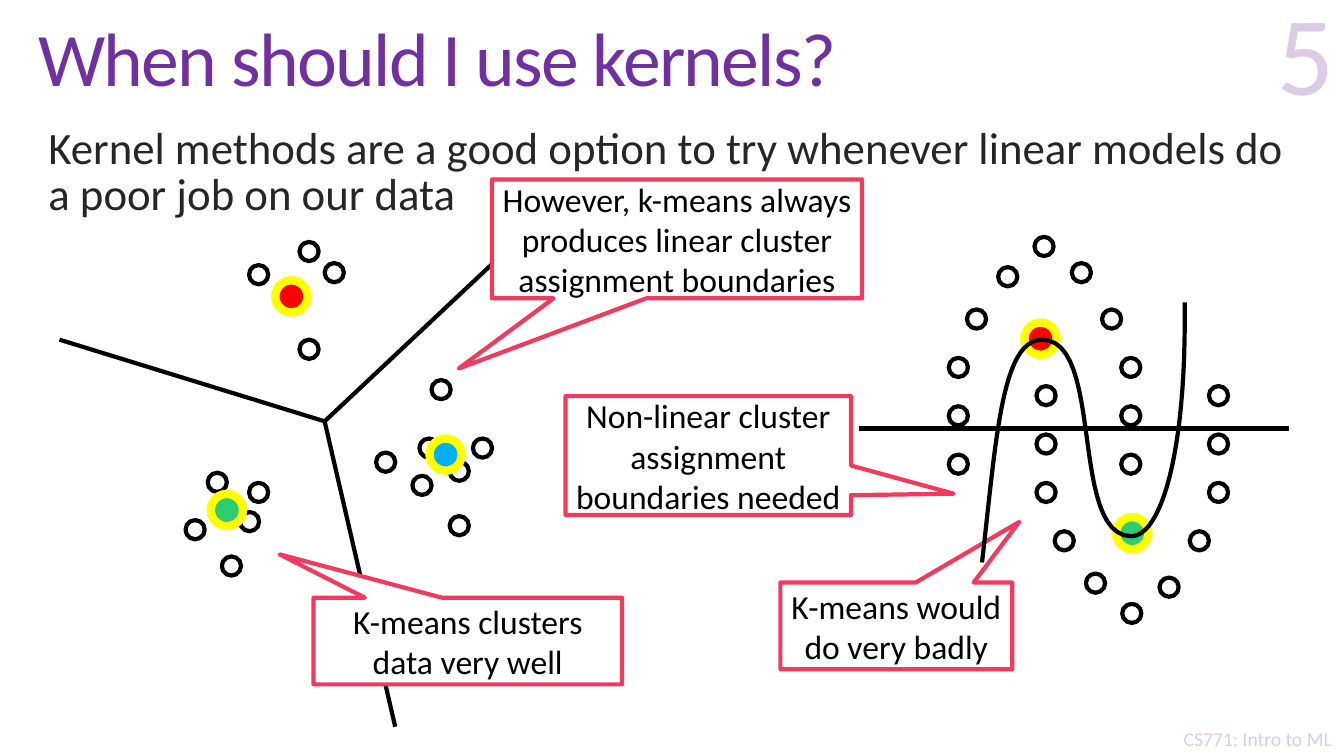
from dataclasses import dataclass

from lxml.etree import SubElement
from pptx import Presentation
from pptx.dml.color import RGBColor
from pptx.enum.shapes import MSO_CONNECTOR, MSO_SHAPE
from pptx.enum.text import MSO_ANCHOR, MSO_AUTO_SIZE, PP_ALIGN
from pptx.oxml.ns import qn
from pptx.util import Inches, Pt


@dataclass(frozen=True)
class Theme:
    font: str = "Calibri"
    purple: str = "7030A0"
    pale_purple: str = "DBCBE7"
    body: str = "262626"
    black: str = "000000"
    white: str = "FFFFFF"
    callout: str = "F03B5E"
    halo: str = "FFFF00"
    red: str = "FF0000"
    blue: str = "00B0F0"
    green: str = "2ECC71"
    title_size: int = 54
    body_size: int = 32
    callout_size: int = 24
    number_size: int = 80
    footer_size: int = 14
    stroke: int = 3
    halo_stroke: int = 6


THEME = Theme()
DOT_SIZE = 0.19
CENTROID_SIZE = 0.32

LEFT_CLUSTERS = [
    (2.79, 2.81), (3.22, 2.61), (2.97, 2.4), (2.97, 3.37), (2.47, 2.63),
    (2.06, 4.69), (2.38, 5.08), (2.47, 4.79), (1.84, 5.16), (2.2, 5.52),
    (4.28, 3.77), (4.69, 4.35), (4.16, 4.35), (4.46, 4.58), (4.09, 4.72),
    (3.73, 4.49), (4.46, 5.12),
]
LEFT_CENTROIDS = [(2.73, 2.78, THEME.red), (4.26, 4.35, THEME.blue), (2.09, 4.9, THEME.green)]
RIGHT_CENTROIDS = [(10.16, 3.2, THEME.red), (11.07, 5.13, THEME.green)]
LEFT_BOUNDARIES = [(0.59, 3.37, 3.22, 4.18), (3.22, 4.18, 5.54, 2), (3.92, 7.21, 3.22, 4.18)]

ARCH_TOP = [(10.26, 2.35), (9.9, 2.65), (10.63, 2.61), (9.59, 3.07), (10.93, 3.07)]
ARCH_LEGS = [(x, 3.55 + 0.48 * row) for x in (9.41, 11.12) for row in range(3)]
ARCH = ARCH_TOP + ARCH_LEGS
# The lower arch is the upper one turned upside down and moved right.
LOWER_ARCH = [(x + 0.87, 8.34 - y) for x, y in ARCH]

CALLOUTS = [
    (3.11, 5.93, 3.06, 0.86, (-0.61, -1.0), "K-means clusters data very well"),
    (4.88, 1.78, 3.67, 1.18, (-0.59, 1.09),
     "However, k-means always produces linear cluster assignment boundaries"),
    (5.61, 3.93, 2.83, 1.18, (0.86, 0.32), "Non-linear cluster assignment boundaries needed"),
    (7.74, 5.78, 2.3, 0.86, (0.53, -1.2), "K-means would do very badly"),
]

CURVE_START = (9.74, 5.58)
CURVE_SEGMENTS = [
    ((9.88, 4.38), (9.93, 3.38), (10.33, 3.37)),
    ((10.96, 3.36), (10.6, 5.31), (11.22, 5.32)),
    ((11.51, 5.32), (11.77, 4.51), (11.75, 3)),
]


def rgb(color):
    return RGBColor.from_string(color)


def write(frame, text, size, color, align=PP_ALIGN.LEFT, anchor=MSO_ANCHOR.TOP):
    """Put one formatted run in the frame and return its paragraph and run."""
    frame.word_wrap = True
    frame.auto_size = MSO_AUTO_SIZE.NONE
    frame.vertical_anchor = anchor
    paragraph = frame.paragraphs[0]
    paragraph.alignment = align
    run = paragraph.add_run()
    run.text = text
    run.font.name = THEME.font
    run.font.size = Pt(size)
    run.font.color.rgb = rgb(color)
    return paragraph, run


def place(placeholder, left, top, width, height):
    placeholder.left, placeholder.top = Inches(left), Inches(top)
    placeholder.width, placeholder.height = Inches(width), Inches(height)


def add_title(slide, text):
    title = slide.shapes.title
    place(title, 0.28, 0.04, 12.69, 1.18)
    paragraph, run = write(title.text_frame, text, THEME.title_size, THEME.purple,
                           anchor=MSO_ANCHOR.MIDDLE)
    paragraph.line_spacing = 0.85
    run._r.get_or_add_rPr().set("spc", "-120")


def add_body(slide, text):
    body = slide.placeholders[1]
    place(body, 0.28, 1.22, 12.69, 5.8)
    paragraph, _ = write(body.text_frame, text, THEME.body_size, THEME.body)
    properties = paragraph._p.get_or_add_pPr()
    properties.set("marL", str(Inches(0.1)))
    properties.set("indent", "0")
    SubElement(properties, qn("a:buNone"))
    paragraph.line_spacing = 0.85
    paragraph.space_before = Pt(0)


def add_label(slide, box, text, size, anchor=MSO_ANCHOR.TOP):
    label = slide.shapes.add_textbox(*map(Inches, box))
    write(label.text_frame, text, size, THEME.pale_purple, PP_ALIGN.RIGHT, anchor)


def add_outlined(slide, preset, box, fill, line, weight):
    shape = slide.shapes.add_shape(preset, *map(Inches, box))
    shape.shadow.inherit = False
    shape.fill.solid()
    shape.fill.fore_color.rgb = rgb(fill)
    shape.line.color.rgb = rgb(line)
    shape.line.width = Pt(weight)
    return shape


def add_dots(slide, points):
    for x, y in points:
        add_outlined(slide, MSO_SHAPE.OVAL, (x, y, DOT_SIZE, DOT_SIZE),
                     THEME.white, THEME.black, THEME.stroke)


def add_centroids(slide, centroids):
    for x, y, color in centroids:
        add_outlined(slide, MSO_SHAPE.OVAL, (x, y, CENTROID_SIZE, CENTROID_SIZE),
                     color, THEME.halo, THEME.halo_stroke)


def add_callout(slide, left, top, width, height, tip, text):
    callout = add_outlined(slide, MSO_SHAPE.RECTANGULAR_CALLOUT, (left, top, width, height),
                           THEME.white, THEME.callout, THEME.stroke)
    callout.adjustments[0], callout.adjustments[1] = tip
    write(callout.text_frame, text, THEME.callout_size, THEME.black,
          PP_ALIGN.CENTER, MSO_ANCHOR.MIDDLE)


def add_boundary(slide, *ends):
    boundary = slide.shapes.add_connector(MSO_CONNECTOR.STRAIGHT, *map(Inches, ends))
    boundary.line.color.rgb = rgb(THEME.black)
    boundary.line.width = Pt(THEME.stroke)
    SubElement(boundary._element.spPr, qn("a:effectLst"))


def bezier_points(start, segments, steps=24):
    """Sample a chain of cubic Bezier segments, leaving out the start."""
    for first, second, end in segments:
        for step in range(1, steps + 1):
            t = step / steps
            weights = ((1 - t) ** 3, 3 * t * (1 - t) ** 2, 3 * t ** 2 * (1 - t), t ** 3)
            controls = (start, first, second, end)
            yield tuple(Inches(sum(w * c[axis] for w, c in zip(weights, controls)))
                        for axis in (0, 1))
        start = end


def add_curved_boundary(slide):
    builder = slide.shapes.build_freeform(*map(Inches, CURVE_START))
    builder.add_line_segments(list(bezier_points(CURVE_START, CURVE_SEGMENTS)), close=False)
    curve = builder.convert_to_shape()
    curve.shadow.inherit = False
    curve.fill.background()
    curve.line.color.rgb = rgb(THEME.black)
    curve.line.width = Pt(THEME.stroke)


def main():
    deck = Presentation()
    deck.slide_width, deck.slide_height = Inches(13.33), Inches(7.5)
    slide = deck.slides.add_slide(deck.slide_layouts[1])

    add_label(slide, (11.52, 7.16, 1.79, 0.34), "CS771: Intro to ML", THEME.footer_size)
    add_title(slide, "When should I use kernels?")
    add_body(slide, "Kernel methods are a good option to try whenever linear models "
                    "do a poor job on our data")
    add_label(slide, (10.13, 0.05, 3.2, 1.17), "5", THEME.number_size, MSO_ANCHOR.BOTTOM)

    add_dots(slide, LEFT_CLUSTERS)
    add_centroids(slide, LEFT_CENTROIDS)
    for ends in LEFT_BOUNDARIES:
        add_boundary(slide, *ends)
    add_dots(slide, ARCH + LOWER_ARCH)
    for callout in CALLOUTS:
        add_callout(slide, *callout)
    add_centroids(slide, RIGHT_CENTROIDS)
    add_boundary(slide, 8.52, 4.25, 12.78, 4.25)
    add_curved_boundary(slide)

    deck.save("out.pptx")


if __name__ == "__main__":
    main()
